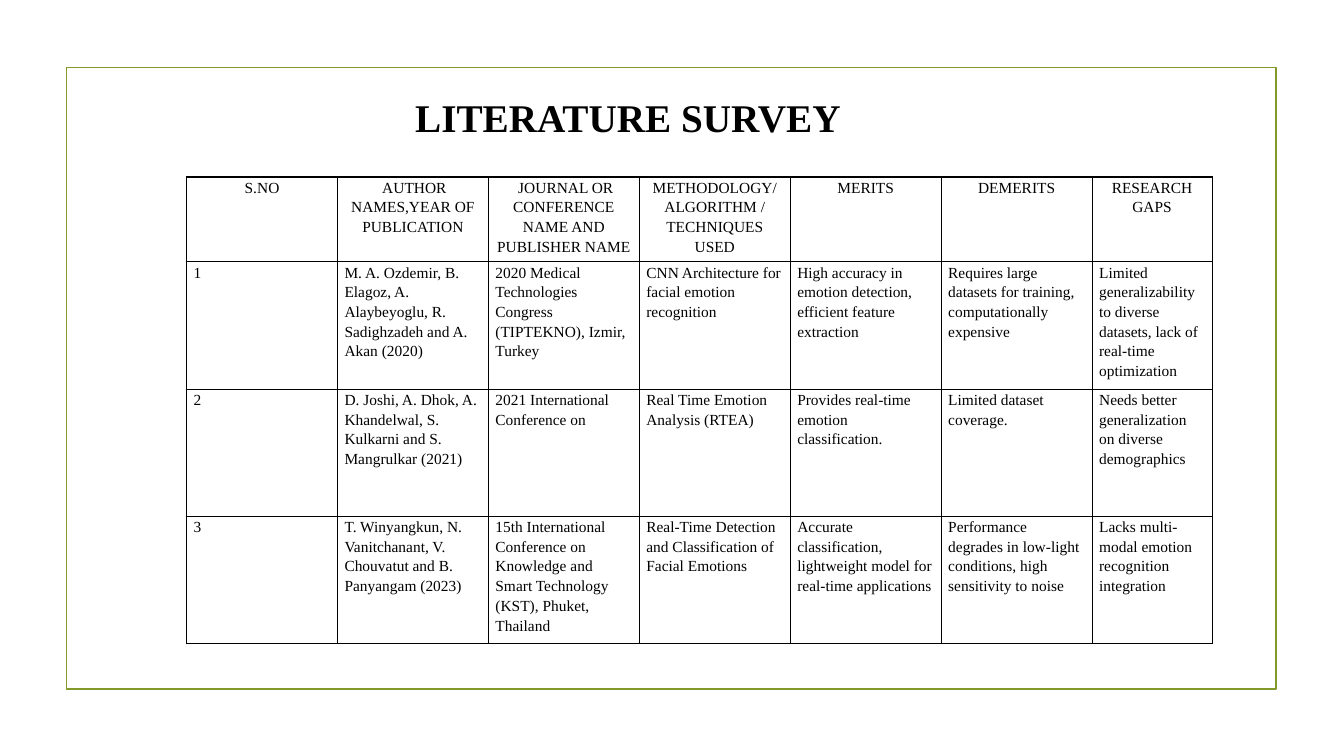
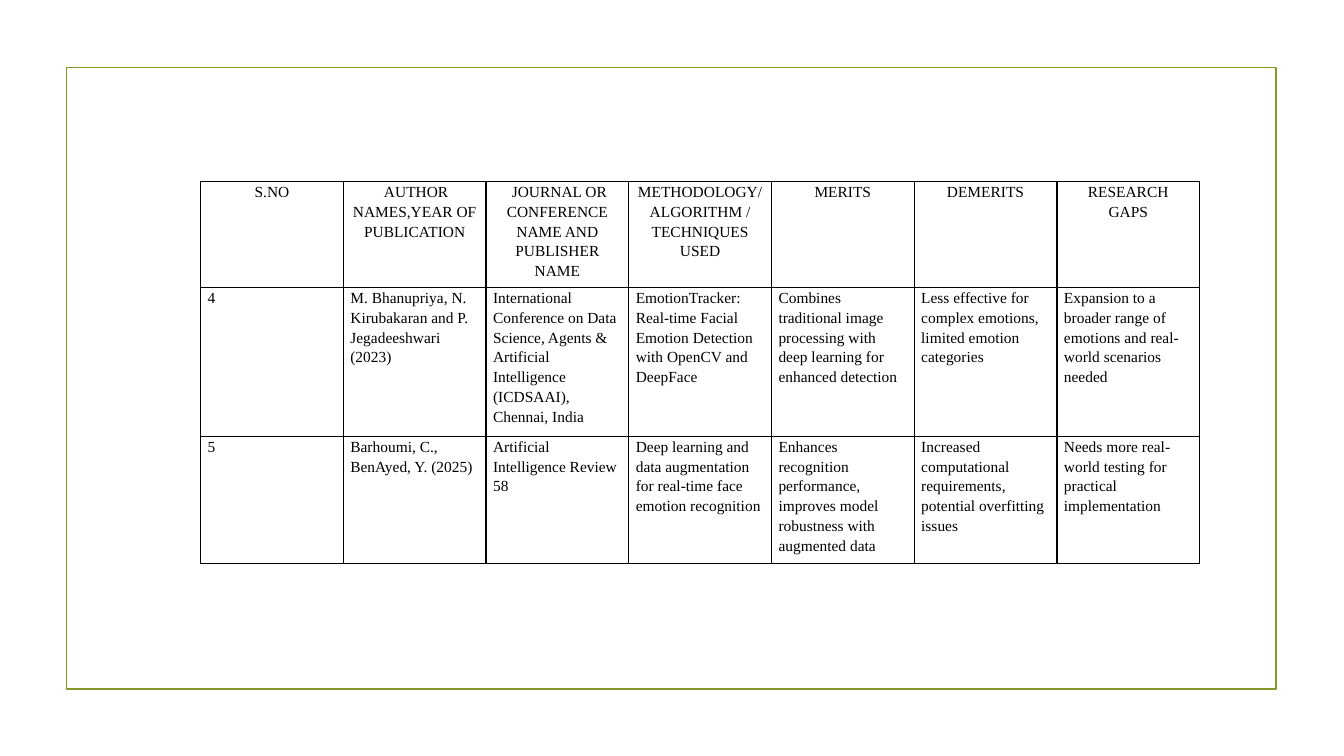
import dataclasses

import lxml.etree
import pptx
import pptx.dml.color
import pptx.enum.shapes
import pptx.enum.text
import pptx.oxml.ns
import pptx.util

FONT = "Times New Roman"
INK, GREEN = "000000", "83992A"
WIDE, HIGH = pptx.util.Inches(13.333), pptx.util.Inches(7.5)
LINE = 2.8  # grid rows that one line of table text takes
ALIGN = pptx.enum.text.PP_ALIGN

HEAD = ("S.NO", " AUTHOR NAMES,YEAR OF PUBLICATION",
        " JOURNAL OR CONFERENCE NAME AND PUBLISHER NAME",
        "METHODOLOGY/ ALGORITHM / TECHNIQUES USED",
        "MERITS", "DEMERITS", "RESEARCH\nGAPS")


@dataclasses.dataclass(frozen=True)
class Paper:
    number: str
    author: str
    journal: str
    method: str
    merits: str
    faults: str
    gaps: str


@dataclasses.dataclass(frozen=True)
class Survey:
    left: float
    top: float
    widths: tuple[float, ...]  # grid columns
    lines: tuple[int, ...]  # text lines in each row
    papers: tuple[Paper, ...]
    title: str = ""


SURVEYS = (
    Survey(13.88, 23.4, (11.23,) * 6 + (8.93,), (4, 6, 6, 6), (
        Paper("1", "M. A. Ozdemir, B. Elagoz, A. Alaybeyoglu, R. Sadighzadeh and A. Akan (2020)",
              "2020 Medical Technologies Congress (TIPTEKNO), Izmir, Turkey",
              "CNN Architecture for facial emotion recognition",
              "High accuracy in emotion detection, efficient feature extraction",
              "Requires large datasets for training, computationally expensive",
              "Limited generalizability to diverse datasets, lack of real-time optimization"),
        Paper("2", "D. Joshi, A. Dhok, A. Khandelwal, S. Kulkarni and S. Mangrulkar (2021)",
              "2021 International Conference on",
              "Real Time Emotion Analysis (RTEA)",
              "Provides real-time emotion classification.",
              "Limited dataset coverage.",
              "Needs better generalization on diverse demographics"),
        Paper("3", "T. Winyangkun, N. Vanitchanant, V. Chouvatut and B. Panyangam (2023)",
              "15th International Conference on Knowledge and Smart Technology (KST), "
              "Phuket, Thailand",
              "Real-Time Detection and Classification of Facial Emotions",
              "Accurate classification, lightweight model for real-time applications",
              "Performance degrades in low-light conditions, high sensitivity to noise",
              "Lacks multi-modal emotion recognition integration"),
    ), "LITERATURE SURVEY"),
    Survey(14.93, 24, (10.62,) * 7, (5, 7, 6), (
        Paper("4", "M. Bhanupriya, N. Kirubakaran and P. Jegadeeshwari (2023)",
              "International Conference on Data Science, Agents & Artificial Intelligence "
              "(ICDSAAI), Chennai, India",
              "EmotionTracker: Real-time Facial Emotion Detection with OpenCV and DeepFace",
              "Combines traditional image processing with deep learning for enhanced detection",
              "Less effective for complex emotions, limited emotion categories",
              "Expansion to a broader range of emotions and real-world scenarios needed"),
        Paper("5", "Barhoumi, C., BenAyed, Y. (2025)",
              "Artificial Intelligence Review 58",
              "Deep learning and data augmentation for real-time face emotion recognition",
              "Enhances recognition performance, improves model robustness with augmented data",
              "Increased computational requirements, potential overfitting issues",
              "Needs more real-world testing for practical implementation"),
    )),
)


# Grid of 100 columns by 100 rows
def cols(count: float) -> int:
    return round(WIDE * count / 100)


def rows(count: float) -> int:
    return round(HIGH * count / 100)


def color(code: str) -> pptx.dml.color.RGBColor:
    return pptx.dml.color.RGBColor.from_string(code)


def write(frame, text: str, *, size: float = 11, bold: bool = False,
          align=ALIGN.LEFT, space: float = 1.0) -> None:
    frame.word_wrap = True
    for index, line in enumerate(text.split("\n")):
        para = frame.add_paragraph() if index else frame.paragraphs[0]
        para.alignment, para.line_spacing = align, space
        run = para.add_run()
        run.text = line
        run.font.name, run.font.size = FONT, pptx.util.Pt(size)
        run.font.bold, run.font.color.rgb = bold, color(INK)


# Shared frame and title
def border(slide) -> None:
    box = slide.shapes.add_shape(pptx.enum.shapes.MSO_SHAPE.RECTANGLE,
                                 cols(4.95), rows(8.93), cols(90), rows(82.27))
    box.shadow.inherit = False
    box.fill.background()
    box.line.color.rgb, box.line.width = color(GREEN), pptx.util.Pt(1.25)


def title(slide, text: str) -> None:
    box = slide.shapes.add_textbox(cols(30.16), rows(11.73), cols(34.73), rows(7.6))
    write(box.text_frame, text, size=28, bold=True)


# Table
def edge(cell) -> None:
    props = cell._tc.get_or_add_tcPr()
    name = pptx.oxml.ns.qn
    for index, side in enumerate("LRTB"):
        line = lxml.etree.Element(name(f"a:ln{side}"), w=str(pptx.util.Pt(1)))
        fill = lxml.etree.SubElement(line, name("a:solidFill"))
        lxml.etree.SubElement(fill, name("a:srgbClr"), val=INK)
        props.insert(index, line)


def table(slide, survey: Survey) -> None:
    cells = [HEAD] + [dataclasses.astuple(paper) for paper in survey.papers]
    grid = slide.shapes.add_table(
        len(cells), len(HEAD), cols(survey.left), rows(survey.top),
        cols(sum(survey.widths)), rows(LINE * sum(survey.lines))).table
    grid.first_row = grid.horz_banding = False
    for column, width in zip(grid.columns, survey.widths):
        column.width = cols(width)
    for row, count, texts in zip(grid.rows, survey.lines, cells):
        row.height = rows(LINE * count)
        align = ALIGN.CENTER if texts is HEAD else ALIGN.LEFT
        for cell, text in zip(row.cells, texts):
            cell.margin_left = cell.margin_right = pptx.util.Inches(0.07)
            cell.margin_top = cell.margin_bottom = 0
            cell.fill.background()
            edge(cell)
            write(cell.text_frame, text, align=align, space=1.15)


def main() -> None:
    deck = pptx.Presentation()
    deck.slide_width, deck.slide_height = WIDE, HIGH
    for survey in SURVEYS:
        slide = deck.slides.add_slide(deck.slide_layouts[6])
        border(slide)
        if survey.title:
            title(slide, survey.title)
        table(slide, survey)
    deck.save("out.pptx")


if __name__ == "__main__":
    main()
